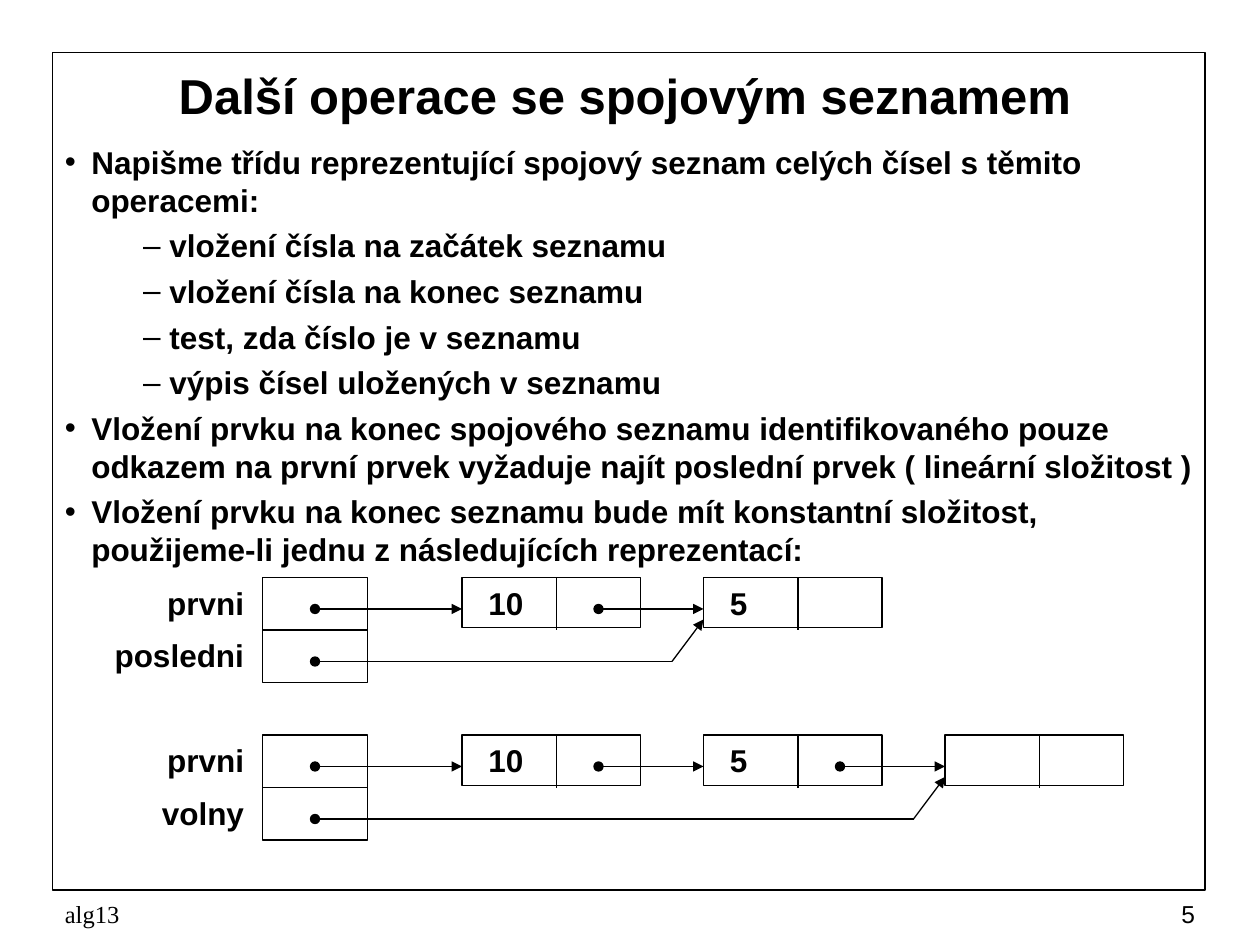
import pptx
import pptx.dml.color
import pptx.enum.shapes
import pptx.enum.text
import pptx.oxml.ns
import pptx.util
from lxml import etree

BLACK = pptx.dml.color.RGBColor(0x00, 0x00, 0x00)
CELL = pptx.util.Inches(10) / 120  # the slide is a grid of 120 columns by 90 rows
ALIGN = pptx.enum.text.PP_ALIGN
MIDDLE = pptx.enum.text.MSO_ANCHOR.MIDDLE

HEADING = "Další operace se spojovým seznamem"
POINTS = [
    (0, "Napišme třídu reprezentující spojový seznam celých čísel s těmito operacemi:"),
    (1, "vložení čísla na začátek seznamu"),
    (1, "vložení čísla na konec seznamu"),
    (1, "test, zda číslo je v seznamu"),
    (1, "výpis čísel uložených v seznamu"),
    (0, "Vložení prvku na konec spojového seznamu identifikovaného pouze "
        "odkazem na první prvek vyžaduje najít poslední prvek ( lineární složitost )"),
    (0, "Vložení prvku na konec seznamu bude mít konstantní složitost, "
        "použijeme-li jednu z následujících reprezentací:"),
]
BULLETS = [("•", 0.21), ("–", 0.83)]  # sign and left margin of each level

VARIABLE_COLUMN = 25
NODE_COLUMN, NODE_STEP, NODE_COLUMNS = 44, 23, 17
LABEL_EDGE = 23.25  # column where the variable names end


def cells(*counts):
    return [pptx.util.Emu(round(count * CELL)) for count in counts]


def add_child(parent, tag, **attributes):
    return etree.SubElement(parent, pptx.oxml.ns.qn(tag), attributes)


def add_words(paragraph, words, size=18, font="Arial", bold=True):
    run = paragraph.add_run()
    run.text = words
    run.font.size = pptx.util.Pt(size)
    run.font.name = font
    run.font.bold = bold
    run.font.color.rgb = BLACK


def add_box(slide, column, row, columns, rows, width=0.75):
    box = slide.shapes.add_shape(pptx.enum.shapes.MSO_SHAPE.RECTANGLE,
                                 *cells(column, row, columns, rows))
    box.shadow.inherit = False
    box.fill.background()
    box.line.color.rgb = BLACK
    box.line.width = pptx.util.Pt(width)
    return box


def add_text(slide, words, column, row, columns, rows, align=ALIGN.LEFT, **style):
    box = slide.shapes.add_textbox(*cells(column, row, columns, rows))
    frame = box.text_frame
    frame.word_wrap = True
    frame.paragraphs[0].alignment = align
    add_words(frame.paragraphs[0], words, **style)
    return frame


def add_line(slide, start, end, head=None, tail=None):
    line = slide.shapes.add_connector(pptx.enum.shapes.MSO_CONNECTOR.STRAIGHT,
                                      *cells(*start, *end))
    line.line.color.rgb = BLACK
    line.line.width = pptx.util.Pt(0.75)
    outline = line.line._get_or_add_ln()
    for tag, kind in (("a:headEnd", head), ("a:tailEnd", tail)):
        if kind:
            add_child(outline, tag, type=kind)
    add_child(line._element.spPr, "a:effectLst")


def add_title(slide):
    title = slide.shapes.title
    title.left, title.top, title.width, title.height = cells(6, 5, 107, 8)
    title.text_frame.vertical_anchor = MIDDLE
    paragraph = title.text_frame.paragraphs[0]
    paragraph.alignment = ALIGN.CENTER
    add_words(paragraph, HEADING, size=28)


def add_points(slide):
    frame = slide.shapes.add_textbox(*cells(5, 13, 110, 70)).text_frame
    frame.word_wrap = True
    for index, (level, words) in enumerate(POINTS):
        paragraph = frame.add_paragraph() if index else frame.paragraphs[0]
        paragraph.level = level
        paragraph.space_before = pptx.util.Pt(4.5)
        sign, margin = BULLETS[level]
        properties = paragraph._p.get_or_add_pPr()
        properties.set("marL", str(pptx.util.Inches(margin)))
        properties.set("indent", str(-pptx.util.Inches(0.21)))
        add_child(properties, "a:buFont", typeface="Arial")
        add_child(properties, "a:buChar", char=sign)
        add_words(paragraph, words)


def add_node(slide, value, column, row):
    """Draw a list element: its value and, right of the divider, its link."""
    node = add_box(slide, column, row, NODE_COLUMNS, 4.8)
    frame = node.text_frame
    frame.vertical_anchor = pptx.enum.text.MSO_ANCHOR.TOP
    frame.margin_left = pptx.util.Inches(0.21)
    if value:
        frame.paragraphs[0].alignment = ALIGN.LEFT
        add_words(frame.paragraphs[0], value)
    add_line(slide, (column + 9, row), (column + 9, row + 5))


def add_variable(slide, name, column, columns, row):
    add_box(slide, VARIABLE_COLUMN, row, 10, 5)
    frame = add_text(slide, name, column, row, columns, 4.8, ALIGN.RIGHT)
    frame.margin_right = cells(column + columns - LABEL_EDGE)[0]


def add_linked_list(slide, row, values, end_name, end_mark):
    """Draw a list with references to its first and its last node."""
    link_row, end_row = row + 3, row + 8
    columns = [NODE_COLUMN + NODE_STEP * i for i in range(len(values))]
    for value, column in zip(values, columns):
        add_node(slide, value, column, row)
    add_variable(slide, "prvni", 12, 14, row)
    add_variable(slide, end_name, 8, 17, row + 5)

    pointer = VARIABLE_COLUMN + 5
    links = [pointer] + [column + 13 for column in columns]
    for link, target in zip(links, columns):
        add_line(slide, (link, link_row), (target, link_row), "oval", "triangle")
    last_link = (links[-1], link_row)
    add_line(slide, last_link, last_link, end_mark, end_mark)

    bend = (columns[-1] - 3, end_row)
    add_line(slide, (pointer, end_row), bend, head="oval")
    add_line(slide, bend, (columns[-1], row + 4), tail="triangle")


def add_footer(slide):
    for words, column, columns, align, font in (
            ("alg13", 5, 38, ALIGN.LEFT, "Times New Roman"),
            ("5", 90, 25, ALIGN.RIGHT, "Arial")):
        frame = add_text(slide, words, column, 85, columns, 4, align,
                         size=14, font=font, bold=False)
        frame.vertical_anchor = MIDDLE


def main():
    deck = pptx.Presentation()
    deck.slide_width, deck.slide_height = cells(120, 90)
    slide = deck.slides.add_slide(deck.slide_layouts[5])
    add_box(slide, 5, 5, 109.8, 79.8, width=1)
    add_title(slide)
    add_points(slide)
    add_linked_list(slide, 55, ["10", "5"], "posledni", "oval")
    add_linked_list(slide, 70, ["10", "5", ""], "volny", "triangle")
    add_footer(slide)
    deck.save("out.pptx")


if __name__ == "__main__":
    main()
